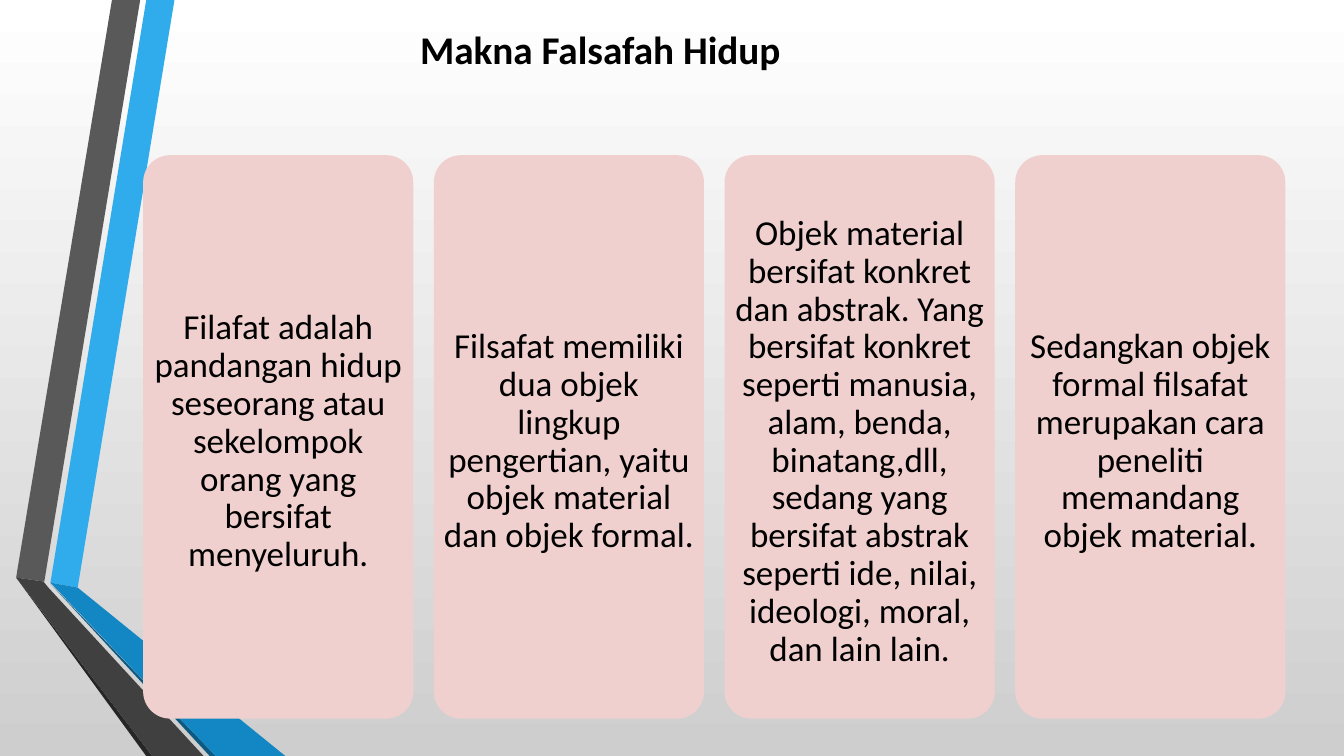
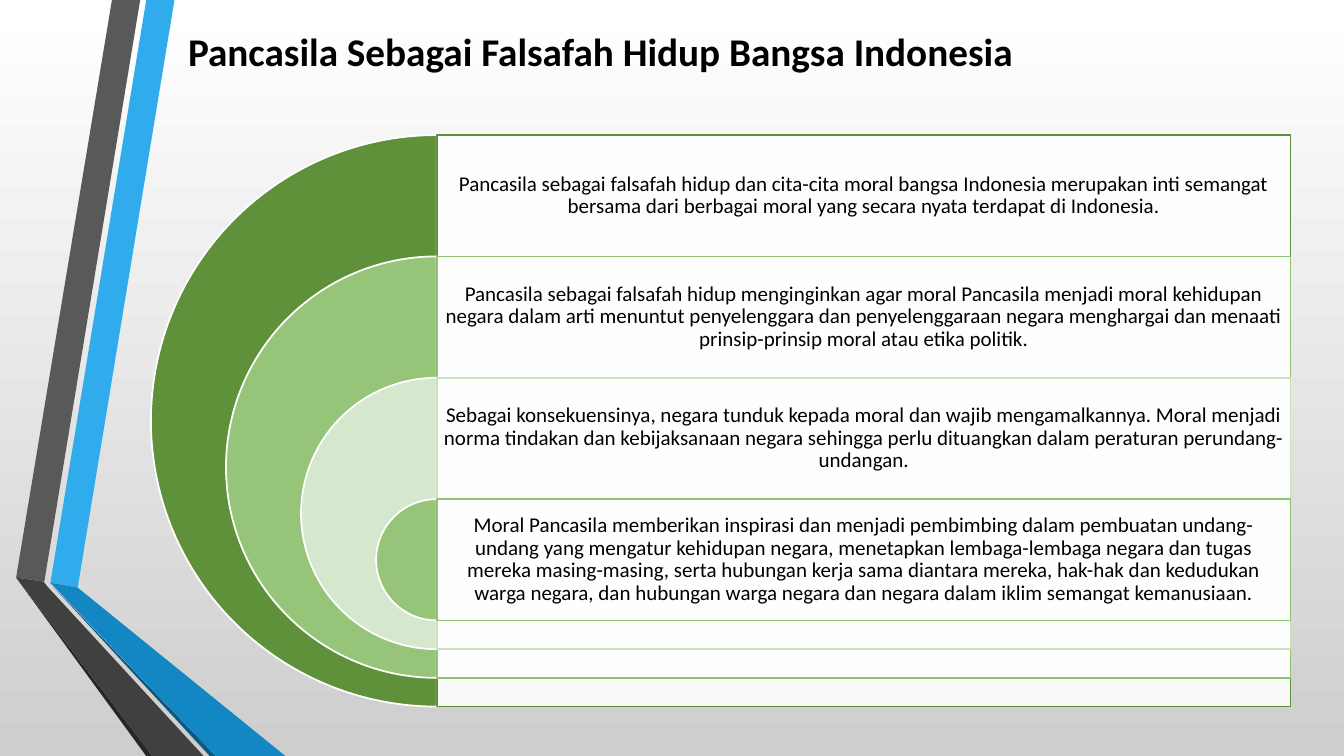
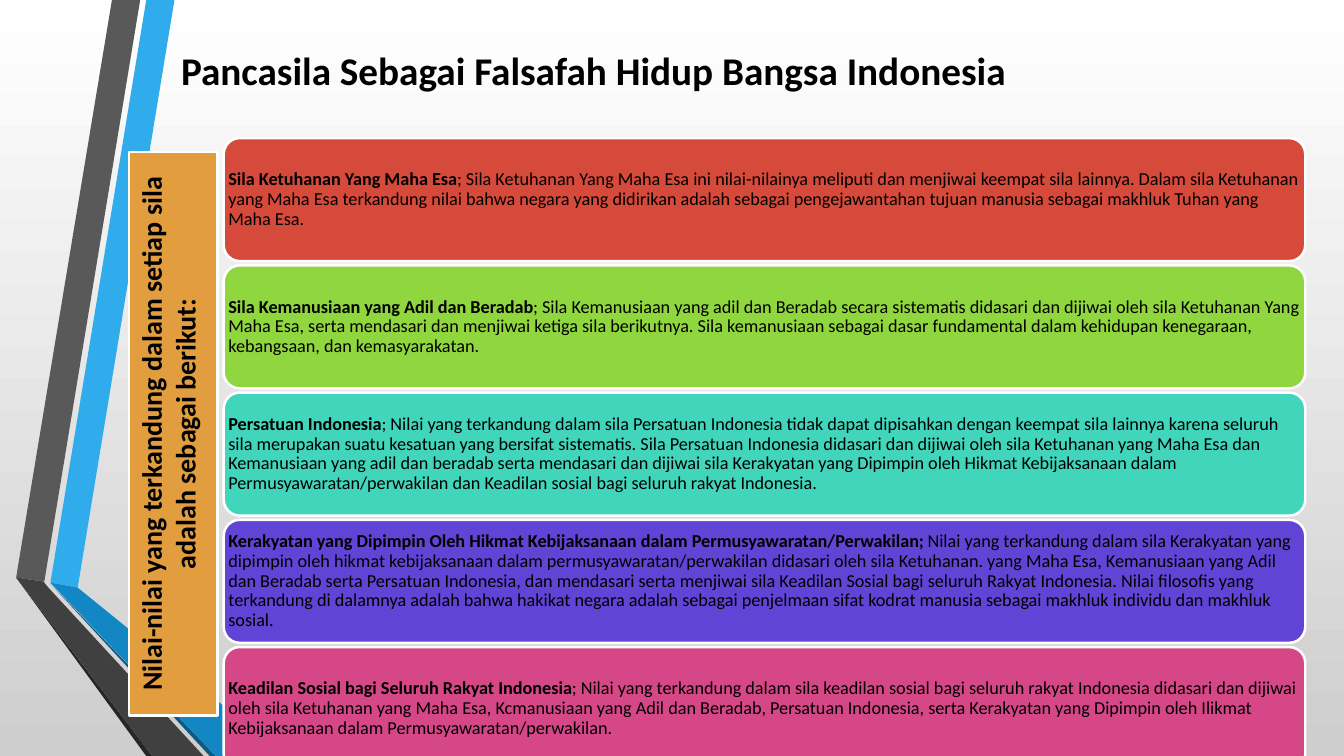
"""Build three slides on Pancasila as a philosophy of life."""
from lxml.etree import SubElement
from pptx import Presentation
from pptx.dml.color import RGBColor
from pptx.enum.shapes import MSO_SHAPE
from pptx.enum.text import MSO_ANCHOR, PP_ALIGN
from pptx.oxml.ns import qn
from pptx.util import Inches, Pt

COLORS = {
    "black": "000000", "white": "FFFFFF", "silver": "CECECE",
    "sky": "30ACEC", "blue": "1287C3", "navy": "0C5A82",
    "gray": "595959", "charcoal": "404040", "coal": "262626",
    "rose": "F0D0CE", "forest": "5F903A", "leaf": "96C57A", "leaf line": "90C273",
    "mint": "D5E7CD", "mint line": "C9E1BE", "amber": "E29D3E", "red": "D64A3B",
    "lime": "90D63E", "teal": "41D6BC", "violet": "6044D6", "pink": "D64787",
}
FONT = "Calibri"

presentation = Presentation()
presentation.slide_width = Inches(13.33)
presentation.slide_height = Inches(7.5)
column = presentation.slide_width / 100
row = presentation.slide_height / 100


def add_box(slide, kind, box, fill, line=None, line_width=1.25):
    """Add a preset shape; the box is in EMU."""
    shape = slide.shapes.add_shape(kind, *[round(length) for length in box])
    shape.shadow.inherit = False
    shape.fill.solid()
    shape.fill.fore_color.rgb = RGBColor.from_string(COLORS[fill])
    if line:
        shape.line.color.rgb = RGBColor.from_string(COLORS[line])
        shape.line.width = Pt(line_width)
    else:
        shape.line.fill.background()
    return shape


def write(shape, runs, size, frame_format, paragraph_format):
    """Write one paragraph of (text, bold) runs."""
    text_frame = shape.text_frame
    paragraph = text_frame.paragraphs[0]
    for target, values in ((text_frame, {"word_wrap": True, **frame_format}), (paragraph, paragraph_format)):
        for name, value in values.items():
            setattr(target, name, value)
    for text, bold in runs:
        run = paragraph.add_run()
        run.text = text
        for name, value in {"name": FONT, "size": Pt(size), "bold": bold}.items():
            setattr(run.font, name, value)
        run.font.color.rgb = RGBColor.from_string(COLORS["black"])


master = presentation.slide_master
background = master.background.fill
background.gradient()
background.gradient_angle = 270
for stop, position, color in zip(background.gradient_stops, (0, 1), ("white", "silver")):
    stop.position = position
    stop.color.rgb = RGBColor.from_string(COLORS[color])

titles = [
    ("Makna Falsafah Hidup", 13.05, 2.67, 7.6),
    ("Pancasila Sebagai Falsafah Hidup Bangsa Indonesia", 13.05, 2.93, 13.87),
    ("Pancasila Sebagai Falsafah Hidup Bangsa Indonesia", 12.53, 5.47, 13.87),
]
slides = []
for title, left, top, height in titles:
    slide = presentation.slides.add_slide(presentation.slide_layouts[6])
    box = (left * column, top * row, 63.22 * column, height * row)
    shape = slide.shapes.add_textbox(*[round(length) for length in box])
    write(shape, [(title, True)], 28, {}, {"alignment": PP_ALIGN.CENTER})
    slides.append(slide)
meaning_slide, nation_slide, values_slide = slides

ribbons = [
    ("sky", [(3.75, 77.07), (5.78, 77.73), (12.98, 0), (10.88, 0)]),
    ("gray", [(10.43, 0), (8.33, 0), (1.2, 76.4), (3.3, 76.93)]),
    ("coal", [(1.2, 76.4), (10.88, 100), (11.33, 100)]),
    ("navy", [(3.75, 77.2), (15.6, 100), (16.05, 100)]),
    ("blue", [(3.75, 77.07), (16.05, 100), (21.23, 100), (5.78, 77.73)]),
    ("charcoal", [(15.15, 100), (3.6, 77.73), (3.23, 76.93), (1.2, 76.4), (11.33, 100)]),
]
for number, (color, shares) in enumerate(ribbons):
    points = [(x * column, y * row) for x, y in shares]
    builder = meaning_slide.shapes.build_freeform(*points[0])
    builder.add_line_segments(points[1:], close=True)
    shape = builder.convert_to_shape()
    shape.shadow.inherit = False
    shape.fill.solid()
    shape.fill.fore_color.rgb = RGBColor.from_string(COLORS[color])
    shape.line.fill.background()
    shape.element.nvSpPr.cNvPr.set("id", str(100 + number))
    master.shapes.element.append(shape.element)

centered = {"alignment": PP_ALIGN.CENTER, "line_spacing": 0.9}
meanings = [
    "Filafat adalah pandangan hidup seseorang atau sekelompok orang yang bersifat menyeluruh.",
    "Filsafat memiliki dua objek lingkup pengertian, yaitu objek material dan objek formal.",
    "Objek material bersifat konkret dan abstrak. Yang bersifat konkret seperti manusia, alam, benda, "
    "binatang,dll, sedang yang bersifat abstrak seperti ide, nilai, ideologi, moral, dan lain lain.",
    "Sedangkan objek formal filsafat merupakan cara peneliti memandang objek material.",
]
card_frame = {
    "vertical_anchor": MSO_ANCHOR.MIDDLE, "margin_left": Inches(0.02), "margin_right": Inches(0.02),
    "margin_top": Inches(0.1), "margin_bottom": 0,
}
for index, text in enumerate(meanings):
    box = ((10.65 + 21.63 * index) * column, 20.53 * row, 20.1 * column, 74.53 * row)
    card = add_box(meaning_slide, MSO_SHAPE.ROUNDED_RECTANGLE, box, "rose")
    card.adjustments[0] = 0.1
    write(card, [(text, False)], 25, card_frame, centered)

layers = [
    ("forest", "forest",
     "Pancasila sebagai falsafah hidup dan cita-cita moral bangsa Indonesia merupakan inti semangat "
     "bersama dari berbagai moral yang secara nyata terdapat di Indonesia."),
    ("leaf", "leaf line",
     "Pancasila sebagai falsafah hidup menginginkan agar moral Pancasila menjadi moral kehidupan negara "
     "dalam arti menuntut penyelenggara dan penyelenggaraan negara menghargai dan menaati "
     "prinsip-prinsip moral atau etika politik."),
    ("mint", "mint line",
     "Sebagai konsekuensinya, negara tunduk kepada moral dan wajib mengamalkannya. Moral menjadi norma "
     "tindakan dan kebijaksanaan negara sehingga perlu dituangkan dalam peraturan perundang-undangan."),
    ("leaf", "leaf line",
     "Moral Pancasila memberikan inspirasi dan menjadi pembimbing dalam pembuatan undang-undang yang "
     "mengatur kehidupan negara, menetapkan lembaga-lembaga negara dan tugas mereka masing-masing, serta "
     "hubungan kerja sama diantara mereka, hak-hak dan kedudukan warga negara, dan hubungan warga negara "
     "dan negara dalam iklim semangat kemanusiaan."),
]
center = 32.5 * column
band_height = 16.05 * row
for index, (color, line, text) in enumerate(layers):
    top = 17.87 * row + index * band_height
    diameter = (75.6 - 19.85 * index) * row
    pie = add_box(nation_slide, MSO_SHAPE.PIE, (center - diameter / 2, top, diameter, diameter), color, "white")
    pie.adjustments[0] = 54
    pie.adjustments[1] = 162
    panel = add_box(nation_slide, MSO_SHAPE.RECTANGLE, (center, top, 63.53 * column, diameter), "white", line)
    panel_color = panel.element.spPr.find(qn("a:solidFill"))[0]
    SubElement(panel_color, qn("a:alpha")).set("val", "90000")
    margin = Inches(0.06)
    panel_frame = {
        "vertical_anchor": MSO_ANCHOR.MIDDLE, "margin_left": margin, "margin_right": margin,
        "margin_top": margin, "margin_bottom": round(diameter - band_height + margin),
    }
    write(panel, [(text, False)], 15, panel_frame, centered)

side_box = (9.6 * column, 20.13 * row, 6.6 * column, 74.53 * row)
side_label = add_box(values_slide, MSO_SHAPE.RECTANGLE, side_box, "amber", "white", 1.75)
write(side_label, [("Nilai-nilai yang terkandung dalam setiap sila adalah sebagai berikut:", True)], 20,
      {"vertical_anchor": MSO_ANCHOR.TOP}, {"alignment": PP_ALIGN.CENTER})
side_label.element.txBody.bodyPr.set("vert", "vert270")

principles = [
    ("red", "Sila Ketuhanan Yang Maha Esa",
     "; Sila Ketuhanan Yang Maha Esa ini nilai-nilainya meliputi dan menjiwai keempat sila lainnya. Dalam "
     "sila Ketuhanan yang Maha Esa terkandung nilai bahwa negara yang didirikan adalah sebagai "
     "pengejawantahan tujuan manusia sebagai makhluk Tuhan yang Maha Esa."),
    ("lime", "Sila Kemanusiaan yang Adil dan Beradab",
     "; Sila Kemanusiaan yang adil dan Beradab secara sistematis didasari dan dijiwai oleh sila Ketuhanan "
     "Yang Maha Esa, serta mendasari dan menjiwai ketiga sila berikutnya. Sila kemanusiaan sebagai dasar "
     "fundamental dalam kehidupan kenegaraan, kebangsaan, dan kemasyarakatan."),
    ("teal", "Persatuan Indonesia",
     "; Nilai yang terkandung dalam sila Persatuan Indonesia tidak dapat dipisahkan dengan keempat sila "
     "lainnya karena seluruh sila merupakan suatu kesatuan yang bersifat sistematis. Sila Persatuan "
     "Indonesia didasari dan dijiwai oleh sila Ketuhanan yang Maha Esa dan Kemanusiaan yang adil dan "
     "beradab serta mendasari dan dijiwai sila Kerakyatan yang Dipimpin oleh Hikmat Kebijaksanaan dalam "
     "Permusyawaratan/perwakilan dan Keadilan sosial bagi seluruh rakyat Indonesia."),
    ("violet", "Kerakyatan yang Dipimpin Oleh Hikmat Kebijaksanaan dalam Permusyawaratan/Perwakilan;",
     " Nilai yang terkandung dalam sila Kerakyatan yang dipimpin oleh hikmat kebijaksanaan dalam "
     "permusyawaratan/perwakilan didasari oleh sila Ketuhanan. yang Maha Esa, Kemanusiaan yang Adil dan "
     "Beradab serta Persatuan Indonesia, dan mendasari serta menjiwai sila Keadilan Sosial bagi seluruh "
     "Rakyat Indonesia. Nilai filosofis yang terkandung di dalamnya adalah bahwa hakikat negara adalah "
     "sebagai penjelmaan sifat kodrat manusia sebagai makhluk individu dan makhluk sosial."),
    ("pink", "Keadilan Sosial bagi Seluruh Rakyat Indonesia",
     "; Nilai yang terkandung dalam sila keadilan sosial bagi seluruh rakyat Indonesia didasari dan "
     "dijiwai oleh sila Ketuhanan yang Maha Esa, Kcmanusiaan yang Adil dan Beradab, Persatuan Indonesia, "
     "serta Kerakyatan yang Dipimpin oleh Ilikmat Kebijaksanaan dalam Permusyawaratan/perwakilan."),
]
principle_frame = {
    "vertical_anchor": MSO_ANCHOR.MIDDLE, "margin_left": 0, "margin_right": 0,
    "margin_top": 0, "margin_bottom": 0,
}
for index, (color, name, text) in enumerate(principles):
    box = (16.65 * column, (18.27 + 16.83 * index) * row, 80.47 * column, 16.27 * row)
    bar = add_box(values_slide, MSO_SHAPE.ROUNDED_RECTANGLE, box, color, "white", 1.75)
    bar.adjustments[0] = 0.13
    write(bar, [(name, True), (text, False)], 13, principle_frame,
          {"alignment": PP_ALIGN.LEFT, "line_spacing": 0.9})

presentation.save("out.pptx")
